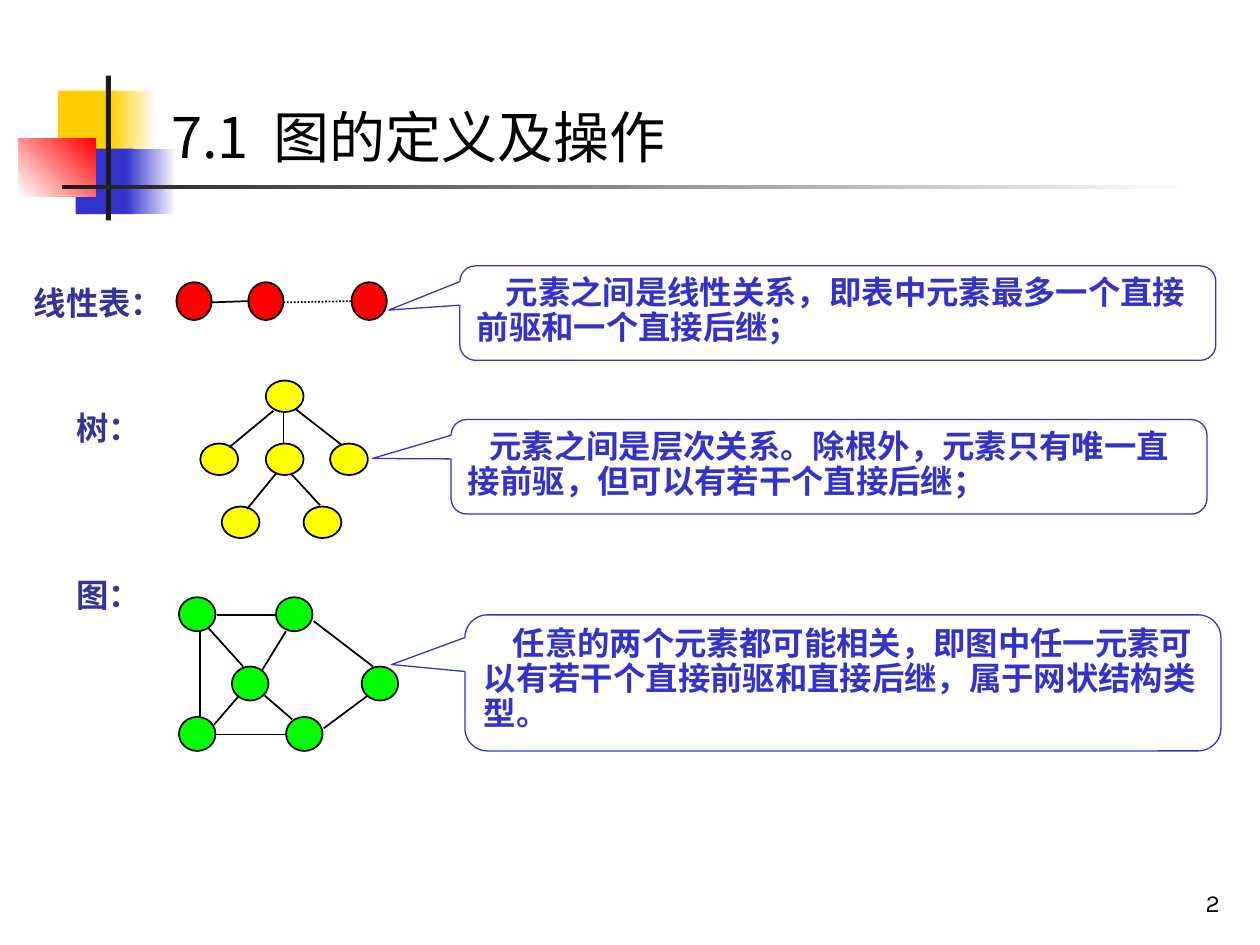
from pptx import Presentation
from pptx.dml.color import RGBColor
from pptx.enum.dml import MSO_LINE
from pptx.enum.shapes import MSO_CONNECTOR, MSO_SHAPE as Shape
from pptx.enum.text import MSO_ANCHOR as Anchor, PP_ALIGN as Align
from pptx.oxml.ns import qn
from pptx.util import Inches, Pt

BLACK = RGBColor(0, 0, 0)
WHITE = RGBColor(255, 255, 255)
CHARCOAL = RGBColor(0x1C, 0x1C, 0x1C)
GOLD = RGBColor(0xFF, 0xCF, 0x01)
BLUE = RGBColor(0x33, 0x33, 0xCC)
NAVY = RGBColor(0x33, 0x33, 0x99)
RED = RGBColor(255, 0, 0)
YELLOW = RGBColor(255, 255, 0)
GREEN = RGBColor(0, 255, 0)

CJK_FONT = "Noto Sans CJK JP"
BODY_SIZE = 18.5


class SlideBuilder:
    def __init__(self, page, latin="Karla"):
        self.page = page
        self.latin = latin

    def shape(self, kind, left, top, width, height):
        shape = self.page.shapes.add_shape(
            kind, Inches(left), Inches(top), Inches(width), Inches(height))
        shape.shadow.inherit = False
        return shape

    def block(self, left, top, width, height, start, end=None, angle=0):
        """Borderless rectangle, plain or with a two-colour gradient."""
        shape = self.shape(Shape.RECTANGLE, left, top, width, height)
        shape.line.fill.background()
        if end is None:
            shape.fill.solid()
            shape.fill.fore_color.rgb = start
            return
        shape.fill.gradient()
        shape.fill.gradient_angle = angle
        for stop, color, position in zip(shape.fill.gradient_stops, (start, end), (0, 1)):
            stop.color.rgb = color
            stop.position = position

    def nodes(self, places, width, height, color):
        for left, top in places:
            node = self.shape(Shape.FLOWCHART_CONNECTOR, left, top, width, height)
            node.fill.solid()
            node.fill.fore_color.rgb = color
            node.line.color.rgb = BLACK
            node.line.width = Pt(1)

    def edge(self, x1, y1, x2, y2, dash=None):
        line = self.page.shapes.add_connector(
            MSO_CONNECTOR.STRAIGHT, Inches(x1), Inches(y1), Inches(x2), Inches(y2))
        line.line.color.rgb = BLACK
        line.line.width = Pt(1)
        if dash is not None:
            line.line.dash_style = dash
        properties = line._element.spPr
        properties.append(properties.makeelement(qn("a:effectLst"), {}))

    def span(self, para, text, size, color, bold=False, font=None, spacing=0):
        span = para.add_run()
        span.text = text
        span.font.size = Pt(size)
        span.font.bold = bold
        span.font.color.rgb = color
        span.font.name = font or self.latin
        properties = span.font._element
        if spacing:
            properties.set("spc", str(spacing * 100))
        east_asian = properties.makeelement(qn("a:ea"), {"typeface": CJK_FONT})
        properties.find(qn("a:latin")).addnext(east_asian)

    def text(self, left, top, width, height, anchor, align=Align.LEFT):
        box = self.page.shapes.add_textbox(
            Inches(left), Inches(top), Inches(width), Inches(height))
        frame = box.text_frame
        frame.word_wrap = True
        frame.vertical_anchor = anchor
        para = frame.paragraphs[0]
        para.alignment = align
        return para

    def callout(self, left, top, height, tip, indent, text):
        shape = self.shape(Shape.ROUNDED_RECTANGULAR_CALLOUT, left, top, 6, height)
        shape.adjustments[0], shape.adjustments[1] = tip
        shape.fill.background()
        shape.line.color.rgb = BLUE
        shape.line.width = Pt(0.75)
        frame = shape.text_frame
        frame.word_wrap = True
        frame.vertical_anchor = Anchor.TOP
        para = frame.paragraphs[0]
        para.alignment = Align.LEFT
        para.line_spacing = 0.9
        para._p.get_or_add_pPr().set("indent", str(Inches(indent)))
        self.span(para, text, BODY_SIZE, BLUE, bold=True, font="Times New Roman")


def main():
    deck = Presentation()
    deck.slide_width, deck.slide_height = Inches(10), Inches(7.5)
    page = deck.slides.add_slide(deck.slide_layouts[6])
    builder = SlideBuilder(page)

    # Corner decoration and rule under the title
    builder.block(0.46, 0.72, 0.48, 0.52, GOLD)
    builder.block(0.88, 0.72, 0.36, 0.52, GOLD, WHITE)
    builder.block(0.6, 1.18, 0.46, 0.52, BLUE)
    builder.block(1, 1.18, 0.4, 0.52, BLUE, WHITE)
    builder.block(0.15, 1.1, 0.61, 0.46, WHITE, RED, angle=45)
    builder.block(0.84, 0.6, 0.04, 1.15, CHARCOAL)
    builder.block(0.49, 1.47, 9, 0.03, CHARCOAL, WHITE)

    # Title and page number
    title = builder.text(1.26, 0.76, 8.74, 0.64, Anchor.MIDDLE)
    for words, spacing in (("7.1", 0), (" ", 7), ("图的定义及操作", 0)):
        builder.span(title, words, 32, BLACK, font=CJK_FONT, spacing=spacing)
    number = builder.text(7.7, 6.83, 2.08, 0.5, Anchor.BOTTOM, Align.RIGHT)
    builder.span(number, "2", 14, BLACK)

    # Row labels
    for left, top, words in ((0.17, 2.2, "线性表："), (0.51, 3.19, "树："), (0.51, 4.52, "图：")):
        label = builder.text(left, top, 1.3, 0.4, Anchor.MIDDLE)
        builder.span(label, words, BODY_SIZE, NAVY, bold=True)

    # Linear list
    builder.nodes([(left, 2.24) for left in (1.4, 1.97, 2.79)], 0.28, 0.3, RED)
    builder.edge(1.67, 2.4, 1.97, 2.39)
    builder.edge(2.25, 2.4, 2.79, 2.39, MSO_LINE.ROUND_DOT)

    # Tree
    tree_levels = {3.02: (2.11,), 3.52: (1.59, 2.11, 2.62), 4.02: (1.76, 2.41)}
    for top, lefts in tree_levels.items():
        builder.nodes([(left, top) for left in lefts], 0.3, 0.25, YELLOW)
    tree_edges = (
        (2.17, 3.26, 1.82, 3.55), (2.25, 3.28, 2.25, 3.52), (2.35, 3.25, 2.71, 3.53),
        (2.19, 3.76, 1.96, 4.04), (2.31, 3.76, 2.54, 4.01))

    # Graph
    graph_nodes = ((2.87, 5.29), (2.27, 5.69), (1.84, 5.29),
                   (1.42, 5.69), (2.19, 4.74), (1.42, 4.74))
    builder.nodes(graph_nodes, 0.29, 0.27, GREEN)
    graph_edges = (
        (1.59, 5.01, 1.59, 5.69), (1.72, 4.88, 2.19, 4.88), (2.49, 4.93, 2.96, 5.29),
        (2.57, 5.78, 2.92, 5.52), (1.65, 4.98, 1.93, 5.29), (1.7, 5.75, 1.89, 5.53),
        (1.71, 5.83, 2.27, 5.83), (2.1, 5.52, 2.32, 5.71), (2.27, 5.01, 2.08, 5.32))
    for ends in tree_edges + graph_edges:
        builder.edge(*ends)

    # Explanations
    builder.callout(3.65, 2.11, 0.75, (-0.594, -0.032), 0.23,
                    "元素之间是线性关系，即表中元素最多一个直接前驱和一个直接后继；")
    builder.callout(3.58, 3.33, 0.75, (-0.604, -0.088), 0.17,
                    "元素之间是层次关系。除根外，元素只有唯一直接前驱，但可以有若干个直接后继；")
    builder.callout(3.69, 4.88, 1.08, (-0.597, -0.135), 0.23,
                    "任意的两个元素都可能相关，即图中任一元素可以有若干个直接前驱和直接后继，"
                    "属于网状结构类型。")

    deck.save("out.pptx")


if __name__ == "__main__":
    main()
